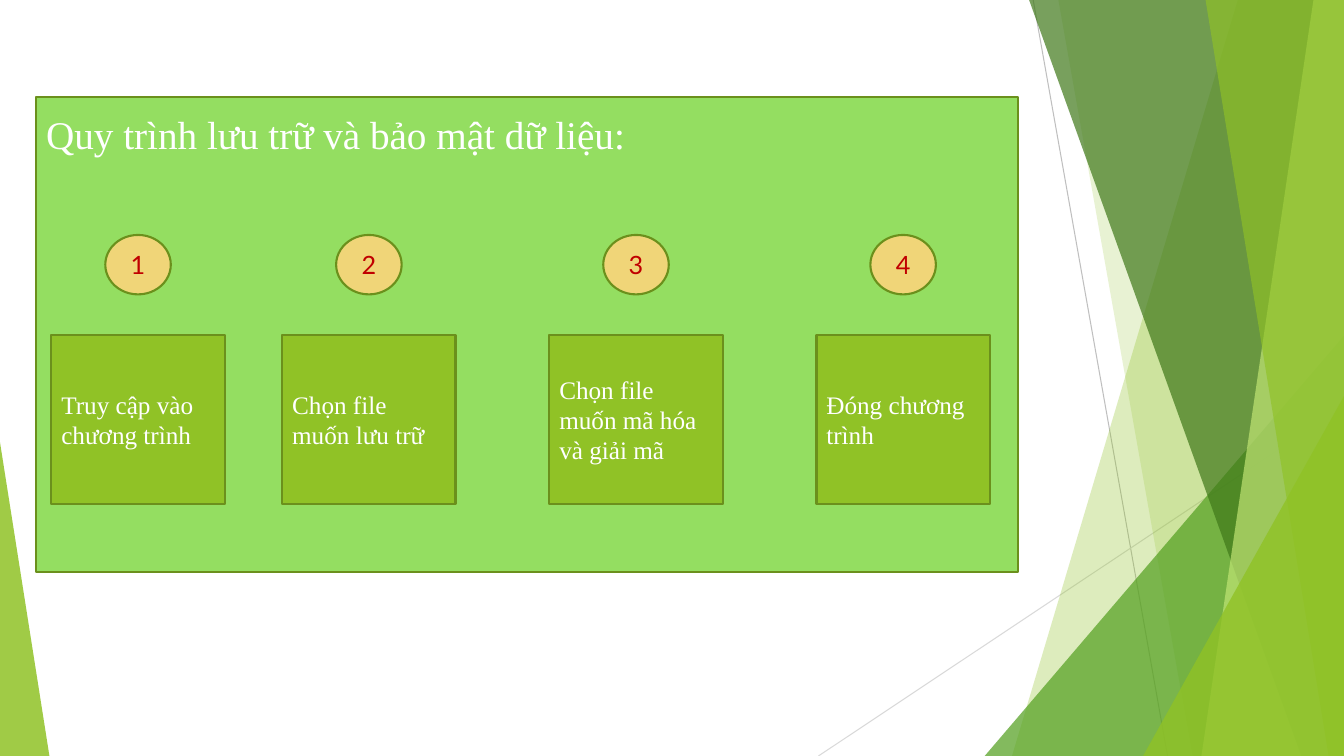
from lxml import etree
from pptx import Presentation
from pptx.dml.color import RGBColor
from pptx.enum.shapes import MSO_CONNECTOR, MSO_SHAPE
from pptx.enum.text import MSO_ANCHOR, PP_ALIGN
from pptx.oxml.ns import qn
from pptx.util import Pt

RECTANGLE = MSO_SHAPE.RECTANGLE
OVAL = MSO_SHAPE.OVAL
TRIANGLE = MSO_SHAPE.ISOSCELES_TRIANGLE
STRAIGHT = MSO_CONNECTOR.STRAIGHT
TOP, MIDDLE = MSO_ANCHOR.TOP, MSO_ANCHOR.MIDDLE
LEFT, CENTER = PP_ALIGN.LEFT, PP_ALIGN.CENTER

WIDTH, HEIGHT = 960, 540
GREEN = "90C226"
STEPS = [
    (36.7, "Truy cập vào chương trình"),
    (201.6, "Chọn file muốn lưu trữ"),
    (392.4, "Chọn file muốn mã hóa và giải mã"),
    (583.2, "Đóng chương trình"),
]
BOX_WIDTH, BOX_HEIGHT, BOX_TOP = 123.8, 121, 239
BADGE_WIDTH, BADGE_HEIGHT, BADGE_TOP = 46.8, 42.5, 167.8


def color(value):
    return RGBColor.from_string(value)


class SlideBuilder:
    """Draws styled elements on the current slide, in points."""

    body_font = "Times New Roman"
    badge_font = "Lato"
    outline = "6B901C"

    def __init__(self, slide):
        self.slide = slide
        self.shapes = slide.shapes

    def line(self, x1, y1, x2, y2, line_color):
        connector = self.shapes.add_connector(STRAIGHT, Pt(x1), Pt(y1), Pt(x2), Pt(y2))
        connector.line.color.rgb = color(line_color)
        connector.line.width = Pt(0.75)
        etree.SubElement(connector._element.spPr, qn("a:effectLst"))

    def tint(self, shape, fill, opacity):
        shape.shadow.inherit = False
        shape.fill.solid()
        shape.fill.fore_color.rgb = color(fill)
        shape.line.fill.background()
        fill_color = shape._element.spPr.find(qn("a:solidFill"))[0]
        etree.SubElement(fill_color, qn("a:alpha"), val=str(opacity * 1000))

    def band(self, top_x, bottom_x, fill, opacity):
        builder = self.shapes.build_freeform(Pt(top_x), 0)
        corners = [(WIDTH, 0), (WIDTH, HEIGHT), (bottom_x, HEIGHT)]
        builder.add_line_segments([(Pt(x), Pt(y)) for x, y in corners], close=True)
        self.tint(builder.convert_to_shape(), fill, opacity)

    def triangle(self, left, top, width, apex, fill, opacity):
        shape = self.shapes.add_shape(
            TRIANGLE, Pt(left), Pt(top), Pt(width), Pt(HEIGHT - top)
        )
        shape.adjustments[0] = apex
        self.tint(shape, fill, opacity)

    def box(self, kind, left, top, width, height, fill, text, size=18,
            font=None, text_color="FFFFFF", align=LEFT, anchor=MIDDLE):
        shape = self.shapes.add_shape(kind, Pt(left), Pt(top), Pt(width), Pt(height))
        shape.shadow.inherit = False
        shape.fill.solid()
        shape.fill.fore_color.rgb = color(fill)
        shape.line.color.rgb = color(self.outline)
        shape.line.width = Pt(1.5)
        text_frame = shape.text_frame
        text_frame.word_wrap = True
        text_frame.vertical_anchor = anchor
        text_frame.text = text
        paragraph = text_frame.paragraphs[0]
        paragraph.alignment = align
        run_font = paragraph.runs[0].font
        run_font.name = font or self.body_font
        run_font.size = Pt(size)
        run_font.color.rgb = color(text_color)
        return shape

    def panel(self, title):
        shape = self.box(RECTANGLE, 25.9, 69.1, 701.3, 339.8, "94DE61", title,
                         size=28, anchor=TOP)
        shape.text_frame.margin_top = Pt(10)

    def badge(self, box_left, number):
        left = box_left + (BOX_WIDTH - BADGE_WIDTH) / 2
        self.box(OVAL, left, BADGE_TOP, BADGE_WIDTH, BADGE_HEIGHT, "F0D578",
                 str(number), font=self.badge_font, text_color="C00000", align=CENTER)

    def step(self, left, text):
        self.box(RECTANGLE, left, BOX_TOP, BOX_WIDTH, BOX_HEIGHT, GREEN, text)


def main():
    presentation = Presentation()
    presentation.slide_width = Pt(WIDTH)
    presentation.slide_height = Pt(HEIGHT)
    builder = SlideBuilder(presentation.slides.add_slide(presentation.slide_layouts[6]))

    builder.line(738, 0, 834, HEIGHT, "BFBFBF")
    builder.line(WIDTH, 290, 584.6, HEIGHT, "D9D9D9")
    builder.band(884.2, 722.9, GREEN, 30)
    builder.band(756, 851.8, GREEN, 20)
    builder.triangle(703.4, 239.8, 256.6, 1, "54A021", 72)
    builder.band(735.1, 929.5, "3F7819", 70)
    builder.band(938.2, 858.2, "C0E474", 70)
    builder.band(861.1, 949, GREEN, 65)
    builder.triangle(816.5, 283, 143.5, 1, GREEN, 80)
    builder.triangle(0, 316, 35.3, 0, GREEN, 85)

    builder.panel("Quy trình lưu trữ và bảo mật dữ liệu:")
    for number, (left, text) in enumerate(STEPS, start=1):
        builder.badge(left, number)
        builder.step(left, text)

    presentation.save("out.pptx")


if __name__ == "__main__":
    main()
